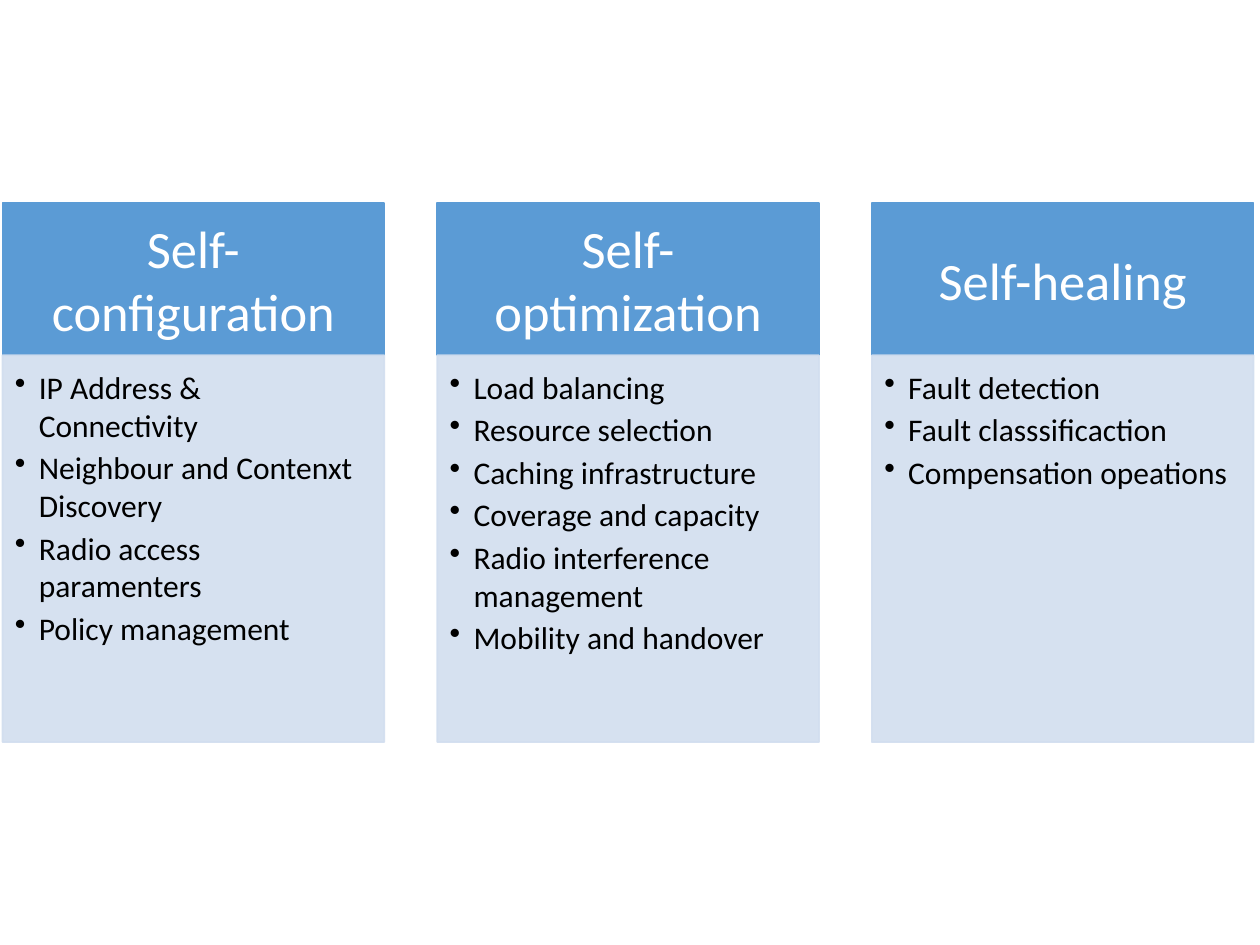
"""Build a slide with three columns on self-organising network functions."""
from lxml import etree
from pptx import Presentation
from pptx.dml.color import RGBColor
from pptx.enum import shapes, text
from pptx.oxml.ns import qn
from pptx.util import Inches, Pt


def rgb(value):
    return RGBColor.from_string(value)


def add_box(parent, x, y, h, colour, insets, anchor):
    sp = parent.shapes.add_shape(shapes.MSO_SHAPE.RECTANGLE, Inches(x), Inches(y), Inches(3.03), Inches(h))
    sp.shadow.inherit = False
    sp.fill.solid()
    sp.fill.fore_color.rgb = rgb(colour)
    sp.line.color.rgb = rgb(colour)
    sp.line.width = Pt(1)
    tf = sp.text_frame
    tf.word_wrap = True
    tf.vertical_anchor = anchor
    tf.margin_left, tf.margin_top, tf.margin_right, tf.margin_bottom = [Inches(v) for v in insets]
    return sp


columns = [
    ("Self-configuration", ["IP Address & Connectivity", "Neighbour and Contenxt Discovery",
                            "Radio access paramenters", "Policy management"]),
    ("Self-optimization", ["Load balancing", "Resource selection", "Caching infrastructure",
                           "Coverage and capacity", "Radio interference management",
                           "Mobility and handover"]),
    ("Self-healing", ["Fault detection", "Fault classsificaction", "Compensation opeations"]),
]

prs = Presentation()
prs.slide_width, prs.slide_height = Inches(10), Inches(7.5)
s = prs.slides.add_slide(prs.slide_layouts[6])
group = s.shapes.add_group_shape()

for i, (heading, items) in enumerate(columns):
    x = 0.02 + 3.45 * i
    header = add_box(group, x, 1.61, 1.21, "5B9BD5", (0.23, 0.13, 0.23, 0.13), text.MSO_ANCHOR.MIDDLE)
    p = header.text_frame.paragraphs[0]
    p.alignment = text.PP_ALIGN.CENTER
    r = p.add_run()
    r.text = heading
    r.font.size, r.font.name = Pt(30), "Calibri"
    r.font.color.rgb = rgb("FFFFFF")

    body = add_box(group, x, 2.82, 3.07, "D2DEEF", (0.1, 0.1, 0.14, 0.16), text.MSO_ANCHOR.TOP)
    for clr in body._element.spPr.iter(qn("a:srgbClr")):
        etree.SubElement(clr, qn("a:alpha"), val="90000")
    tf = body.text_frame
    for j, item in enumerate(items):
        p = tf.add_paragraph() if j else tf.paragraphs[0]
        p.level = 1
        p.alignment = text.PP_ALIGN.LEFT
        p.space_after = Pt(2.7)
        pPr = p._p.get_or_add_pPr()
        pPr.set("marL", str(Inches(0.19)))
        pPr.set("indent", str(-Inches(0.19)))
        etree.SubElement(pPr, qn("a:buChar"), char="•")
        r = p.add_run()
        r.text = item
        r.font.size, r.font.name = Pt(18), "Calibri"
        r.font.color.rgb = rgb("000000")

prs.save("out.pptx")
